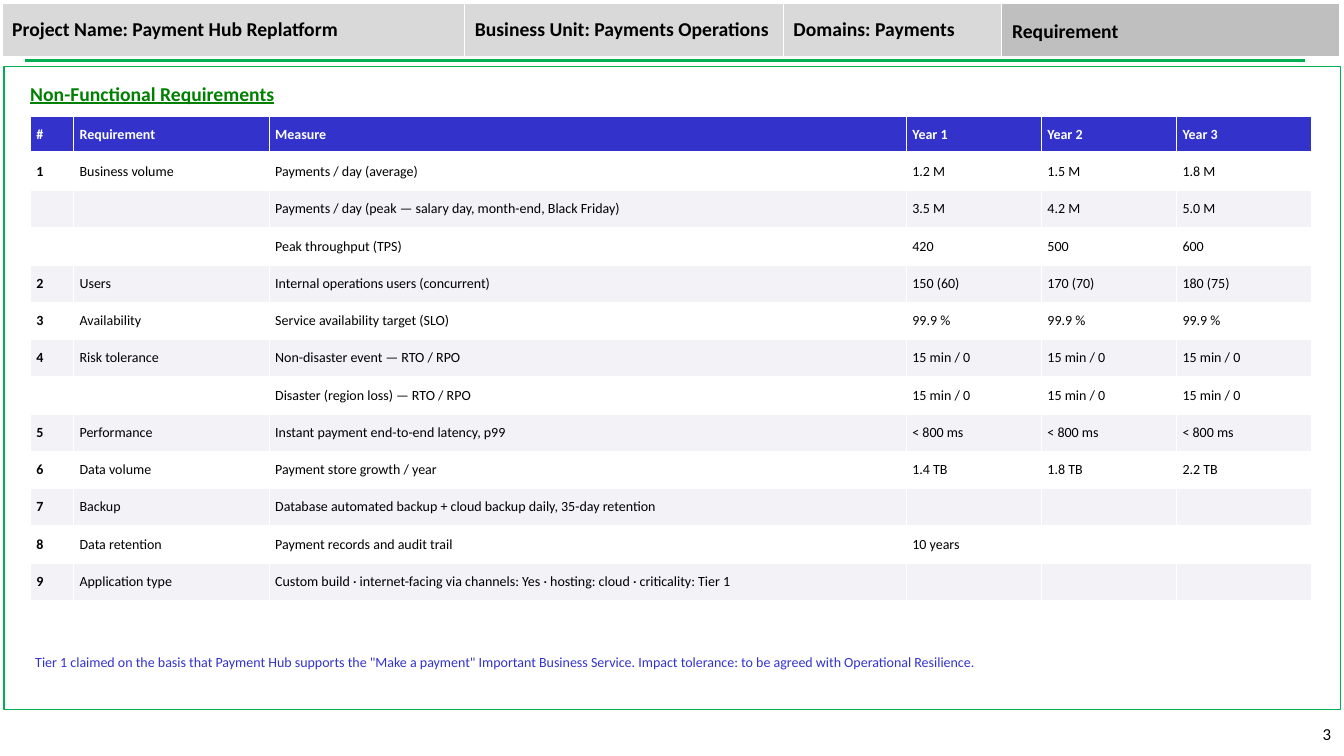
from dataclasses import dataclass
from lxml import etree
from pptx import Presentation
from pptx.dml.color import RGBColor
from pptx.enum.shapes import MSO_CONNECTOR, MSO_SHAPE
from pptx.enum.text import MSO_ANCHOR, MSO_AUTO_SIZE, PP_ALIGN
from pptx.oxml.ns import qn
from pptx.util import Inches, Pt

STRAIGHT = MSO_CONNECTOR.STRAIGHT
RECTANGLE = MSO_SHAPE.RECTANGLE
TOP, MIDDLE = MSO_ANCHOR.TOP, MSO_ANCHOR.MIDDLE
LEFT, RIGHT = PP_ALIGN.LEFT, PP_ALIGN.RIGHT
FIXED_SIZE = MSO_AUTO_SIZE.NONE

BANNER = ["Project Name: Payment Hub Replatform", "Business Unit: Payments Operations",
          "Domains: Payments", ""]
SECTION = "Requirement"
TITLE = "Non-Functional Requirements"
HEADINGS = ["#", "Requirement", "Measure", "Year 1", "Year 2", "Year 3"]
REQUIREMENTS = [
    ("1", "Business volume", "Payments / day (average)", "1.2 M", "1.5 M", "1.8 M"),
    ("", "", "Payments / day (peak — salary day, month-end, Black Friday)",
     "3.5 M", "4.2 M", "5.0 M"),
    ("", "", "Peak throughput (TPS)", "420", "500", "600"),
    ("2", "Users", "Internal operations users (concurrent)", "150 (60)", "170 (70)", "180 (75)"),
    ("3", "Availability", "Service availability target (SLO)", "99.9 %", "99.9 %", "99.9 %"),
    ("4", "Risk tolerance", "Non-disaster event — RTO / RPO",
     "15 min / 0", "15 min / 0", "15 min / 0"),
    ("", "", "Disaster (region loss) — RTO / RPO", "15 min / 0", "15 min / 0", "15 min / 0"),
    ("5", "Performance", "Instant payment end-to-end latency, p99",
     "< 800 ms", "< 800 ms", "< 800 ms"),
    ("6", "Data volume", "Payment store growth / year", "1.4 TB", "1.8 TB", "2.2 TB"),
    ("7", "Backup", "Database automated backup + cloud backup daily, 35-day retention",
     "", "", ""),
    ("8", "Data retention", "Payment records and audit trail", "10 years", "", ""),
    ("9", "Application type",
     "Custom build · internet-facing via channels: Yes · hosting: cloud · criticality: Tier 1",
     "", "", ""),
]
NOTE = ('Tier 1 claimed on the basis that Payment Hub supports the "Make a payment" Important '
        'Business Service. Impact tolerance: to be agreed with Operational Resilience.')
PAGE = "3"

BANNER_COLUMNS = [4.59, 3.16, 2.16, 3.36]
REQUIREMENT_COLUMNS = [0.43, 1.94, 6.32, 1.34, 1.34, 1.34]
BANNER_ROW, REQUIREMENT_ROW = 0.54, 0.37
WIDE_INSETS, TIGHT_INSETS, CELL_INSETS = (0.1, 0.05), (0.05, 0.03), (0.06, 0.03)


@dataclass(frozen=True)
class Theme:
    font: str = "Calibri"
    heading: int = 14
    page: int = 12
    body: int = 10
    black: str = "000000"
    white: str = "FFFFFF"
    banner: str = "D9D9D9"
    section: str = "BFBFBF"
    rule: str = "00B050"
    title: str = "008000"
    accent: str = "3333CC"
    band: str = "F2F2F7"


THEME = Theme()


def rgb(color):
    return RGBColor.from_string(color)


def write(frame, text, size, color, bold=False, align=LEFT):
    frame.text = text
    paragraph = frame.paragraphs[0]
    paragraph.alignment = align
    font = paragraph.font
    font.name, font.size, font.bold = THEME.font, Pt(size), bold
    font.color.rgb = rgb(color)
    return paragraph


def set_insets(target, insets):
    target.margin_left = target.margin_right = Inches(insets[0])
    target.margin_top = target.margin_bottom = Inches(insets[1])


def prepare(frame, insets, anchor):
    frame.word_wrap = True
    frame.auto_size = FIXED_SIZE
    frame.vertical_anchor = anchor
    set_insets(frame, insets)


def add_label(slide, box, text, size, color, insets=WIDE_INSETS, anchor=TOP, **style):
    frame = slide.shapes.add_textbox(*map(Inches, box)).text_frame
    prepare(frame, insets, anchor)
    return write(frame, text, size, color, **style)


def add_borders(cell, bottom):
    properties = cell._tc.get_or_add_tcPr()
    for side, width in (("lnL", 1), ("lnR", 1), ("lnT", 1), ("lnB", bottom)):
        border = etree.SubElement(properties, qn(f"a:{side}"), w=str(Pt(width)))
        fill = etree.SubElement(border, qn("a:solidFill"))
        etree.SubElement(fill, qn("a:srgbClr"), val=THEME.white)


def add_grid(slide, left, top, columns, row_height, rows, insets, style):
    table = slide.shapes.add_table(len(rows), len(columns), Inches(left), Inches(top),
                                   Inches(sum(columns)), Inches(row_height * len(rows))).table
    for column, width in zip(table.columns, columns):
        column.width = Inches(width)
    for r, texts in enumerate(rows):
        table.rows[r].height = Inches(row_height)
        for c, text in enumerate(texts):
            cell = table.cell(r, c)
            fill, color, size, bold = style(r, c)
            add_borders(cell, 1 if r else 3)
            cell.fill.solid()
            cell.fill.fore_color.rgb = rgb(fill)
            cell.vertical_anchor = MIDDLE
            set_insets(cell, insets)
            write(cell.text_frame, text, size, color, bold)


def banner_style(row, column):
    fill = THEME.section if column == len(BANNER) - 1 else THEME.banner
    return fill, THEME.black, THEME.heading, True


def requirement_style(row, column):
    if row == 0:
        return THEME.accent, THEME.white, THEME.body, True
    return THEME.white if row % 2 else THEME.band, THEME.black, THEME.body, column == 0


def main():
    deck = Presentation()
    deck.slide_width, deck.slide_height = Inches(13.33), Inches(7.5)
    slide = deck.slides.add_slide(deck.slide_layouts[5])

    rule = slide.shapes.add_connector(STRAIGHT, *map(Inches, (0.25, 0.6, 12.94, 0.6)))
    rule.line.color.rgb, rule.line.width = rgb(THEME.rule), Pt(1.5)
    etree.SubElement(rule._element.spPr, qn("a:effectLst"))

    add_grid(slide, 0.02, 0.03, BANNER_COLUMNS, BANNER_ROW, [BANNER], WIDE_INSETS, banner_style)

    border = slide.shapes.add_shape(RECTANGLE, *map(Inches, (0.04, 0.66, 13.26, 6.38)))
    border.shadow.inherit = False
    border.fill.background()
    border.line.color.rgb, border.line.width = rgb(THEME.rule), Pt(0.75)

    add_label(slide, (10.19, 7.08, 3.11, 0.4), PAGE, THEME.page, THEME.black,
              anchor=MIDDLE, align=RIGHT)
    add_label(slide, (9.94, 0.14, 3.3, 0.34), SECTION, THEME.heading, THEME.black, bold=True)

    title = slide.shapes.title
    title.left, title.top, title.width, title.height = map(Inches, (0.25, 0.78, 8, 0.32))
    prepare(title.text_frame, TIGHT_INSETS, TOP)
    write(title.text_frame, TITLE, THEME.heading, THEME.title, bold=True).font.underline = True

    add_grid(slide, 0.3, 1.15, REQUIREMENT_COLUMNS, REQUIREMENT_ROW, [HEADINGS, *REQUIREMENTS],
             CELL_INSETS, requirement_style)
    add_label(slide, (0.3, 6.45, 12.7, 0.5), NOTE, THEME.body, THEME.accent, TIGHT_INSETS)
    deck.save("out.pptx")


if __name__ == "__main__":
    main()
